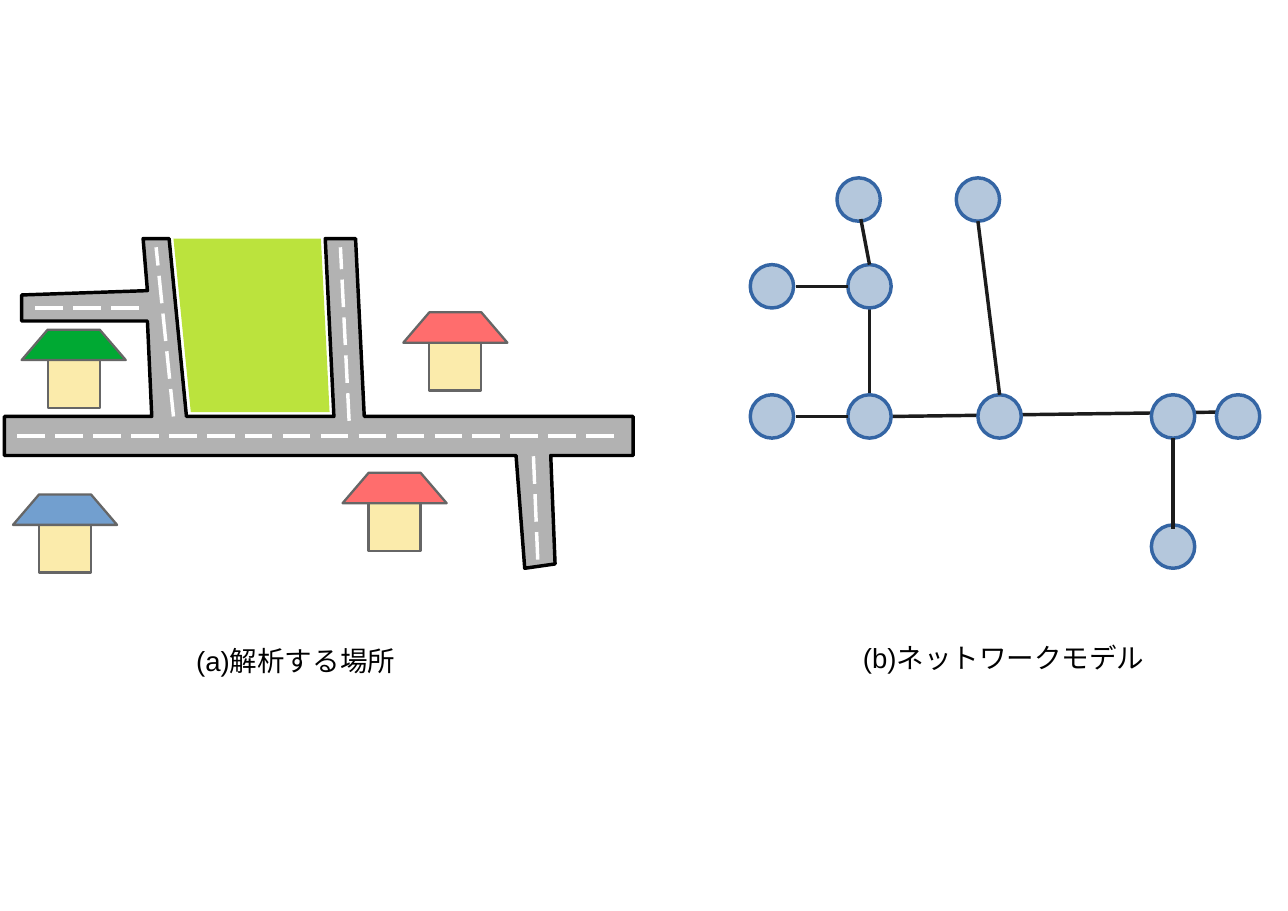
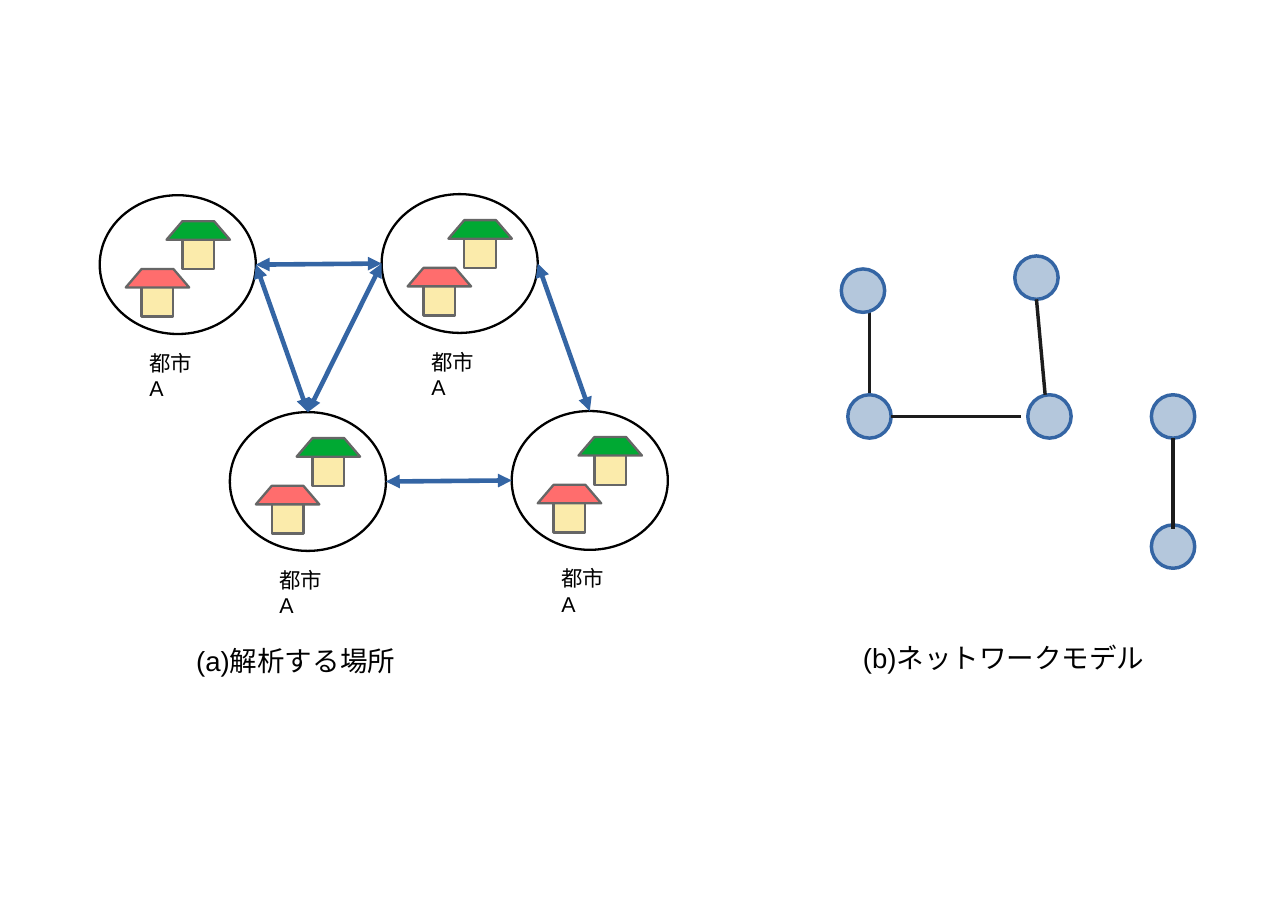
from pptx import Presentation, util as u
from pptx.dml.color import RGBColor
from pptx.enum import dml, shapes
from pptx.oxml.ns import qn
from lxml import etree

# Palette
BLACK = RGBColor(0x00, 0x00, 0x00)
WHITE = RGBColor(0xFF, 0xFF, 0xFF)
ROAD = RGBColor(0xB2, 0xB2, 0xB2)
FIELD = RGBColor(0xBB, 0xE3, 0x3D)
WALL = RGBColor(0xFB, 0xEB, 0xAB)
EDGE = RGBColor(0x66, 0x66, 0x66)
RED = RGBColor(0xFF, 0x6D, 0x6D)
GREEN = RGBColor(0x00, 0xA9, 0x33)
SKY = RGBColor(0x72, 0x9F, 0xCF)
NODE = RGBColor(0xB4, 0xC7, 0xDC)
BLUE = RGBColor(0x34, 0x65, 0xA4)
LINK = RGBColor(0x1C, 0x1C, 0x1C)

FONT = "Arial"
COLS, ROWS = 59.4, 42  # slide grid, one cell per centimetre
THIN, THICK, BOLD = 3, 4.5, 6  # line widths in points
OVAL, RECT = shapes.MSO_SHAPE.OVAL, shapes.MSO_SHAPE.RECTANGLE


class Panel:
    """A region of the slide grid; parts are placed from its corner."""

    def __init__(self, slide, x, y, scale=1):
        self.slide, self.x, self.y, self.scale = slide, x, y, scale

    def sub(self, x, y, scale=1):
        return Panel(self.slide, self.x + x * self.scale,
                     self.y + y * self.scale, self.scale * scale)

    def at(self, x, y):
        return (u.Cm(self.x + x * self.scale), u.Cm(self.y + y * self.scale))

    def size(self, w, h):
        return u.Cm(w * self.scale), u.Cm(h * self.scale)

    def paint(self, shape, fill, line, width):
        shape.shadow.inherit = False
        if fill is None:
            shape.fill.background()
        else:
            shape.fill.solid()
            shape.fill.fore_color.rgb = fill
        if line is None:
            shape.line.fill.background()
        else:
            shape.line.color.rgb = line
            shape.line.width = u.Pt(width)

    def shape(self, kind, x, y, w, h, fill, line, width):
        item = self.slide.shapes.add_shape(kind, *self.at(x, y), *self.size(w, h))
        self.paint(item, fill, line, width)

    def poly(self, points, fill, line=None, width=THIN):
        first, *rest = [self.at(*p) for p in points]
        form = self.slide.shapes.build_freeform(*first)
        form.add_line_segments(rest, close=True)
        self.paint(form.convert_to_shape(), fill, line, width)

    def line(self, start, end, color, width=THICK, dash=None, heads=False):
        item = self.slide.shapes.add_connector(
            shapes.MSO_CONNECTOR.STRAIGHT, *self.at(*start), *self.at(*end))
        item.line.color.rgb = color
        item.line.width = u.Pt(width)
        if dash:
            item.line.dash_style = dash
        props = item._element.spPr
        if heads:
            stroke = props.find(qn("a:ln"))
            for end_tag in ("a:headEnd", "a:tailEnd"):
                etree.SubElement(stroke, qn(end_tag), type="triangle")
        etree.SubElement(props, qn("a:effectLst"))

    def text(self, words, x, y, w, h, size):
        box = self.slide.shapes.add_textbox(*self.at(x, y), *self.size(w, h))
        box.text_frame.word_wrap = True
        para = box.text_frame.paragraphs[0]
        para.text = words
        para.font.name = FONT
        para.font.size = u.Pt(size)
        para.font.color.rgb = BLACK


def house(box, roof):
    box.shape(RECT, 1.2, 0.8, 2.4, 2.8, WALL, EDGE, THIN)
    box.poly([(0, 1.4), (4.8, 1.4), (3.6, 0), (1.2, 0)], roof, EDGE)


def town(box):
    """Roads, field and houses."""
    box.poly([(0.2, 10), (0.2, 8.2), (7, 8.2), (6.8, 3.8), (1, 3.8), (1, 2.6),
              (6.8, 2.4), (6.6, 0), (7.8, 0), (8.6, 8.2), (15.4, 8.2), (15, 0),
              (16.4, 0), (16.8, 8.2), (29.2, 8.2), (29.2, 10), (25.4, 10),
              (25.6, 15), (24.2, 15.2), (23.8, 10)], ROAD, BLACK, THICK)
    box.poly([(8.8, 8), (8, 0), (14.8, 0), (15.2, 8)], FIELD)
    for x, y, roof in [(0.6, 11.8, SKY), (15.8, 10.8, RED),
                       (1, 4.2, GREEN), (18.6, 3.4, RED)]:
        house(box.sub(x, y), roof)
    # Lane marks
    for start, end in [((0.8, 9.1), (28.4, 9.1)), ((16.1, 8.4), (15.7, 0.4)),
                       ((8, 8.2), (7.2, 0.4)), ((24.8, 14.8), (24.6, 10)),
                       ((6.4, 3.2), (1.6, 3.2))]:
        box.line(start, end, WHITE, dash=dml.MSO_LINE.LONG_DASH)


def city(box):
    house(box.sub(1.2, 3.4, 0.61), RED)
    box.shape(OVAL, 0, 0, 7.2, 6.4, None, BLACK, THIN)
    house(box.sub(3.08, 1.2, 0.61), GREEN)
    box.text("都市A", 2.04, 7, 3.1, 1.68, 28)


def cities(box):
    """Two rows of two cities, the lower row shifted right."""
    spots = [(col * 13 + row * 6, row * 10 - col * 0.05)
             for row in range(2) for col in range(2)]
    for spot in spots:
        city(box.sub(*spot))
    ports = {"left": (0, 3.2), "right": (7.2, 3.2), "top": (3.6, 0)}

    def port(index, side):
        return tuple(a + b for a, b in zip(spots[index], ports[side]))

    for a, out, b, into in [(0, "right", 2, "top"), (0, "right", 1, "left"),
                            (1, "right", 3, "top"), (1, "left", 2, "top"),
                            (2, "right", 3, "left")]:
        box.line(port(a, out), port(b, into), BLUE, BOLD, heads=True)


def network(box, under, nodes, over):
    """Nodes by centre, with links below and above them."""
    for link in under:
        box.line(*link, LINK)
    for x, y in nodes:
        box.shape(OVAL, x - 1, y - 1, 2, 2, NODE, BLUE, THICK)
    for link in over:
        box.line(*link, LINK)


def page(deck, site, **net):
    slide = deck.slides.add_slide(deck.slide_layouts[6])
    full = Panel(slide, 0, 0)
    network(full.sub(34.1, 8.2), **net)
    full.text("(a)解析する場所", 8.8, 29.57, 11.8, 2.08, 36)
    full.text("(b)ネットワークモデル", 39.55, 29.41, 13.8, 2.08, 36)
    site(full)


def main():
    deck = Presentation()
    deck.slide_width, deck.slide_height = u.Cm(COLS), u.Cm(ROWS)
    # Links found on both slides
    down = ((6, 6), (6, 10.2))
    drop = ((20, 12), (20, 16.2))

    page(deck, lambda full: town(full.sub(0, 11)),
         under=[down, ((7, 11), (22, 10.8))],
         nodes=[(5.5, 1), (11, 1), (1.5, 5), (6, 5), (1.5, 11), (6, 11),
                (12, 11), (20, 11), (23, 11), (20, 17)],
         over=[((11, 2), (12, 10)), drop, ((5.6, 1.9), (6, 4)),
               ((2.6, 5), (5, 5)), ((2.6, 11), (5, 11))])

    page(deck, lambda full: cities(full.sub(4.6, 9)),
         under=[down],
         nodes=[(5.7, 5.2), (13.7, 4.6), (6, 11), (14.3, 11), (20, 11), (20, 17)],
         over=[((13.7, 5.6), (14.1, 10)), drop, ((7, 11), (13, 11))])

    deck.save("out.pptx")


if __name__ == "__main__":
    main()
